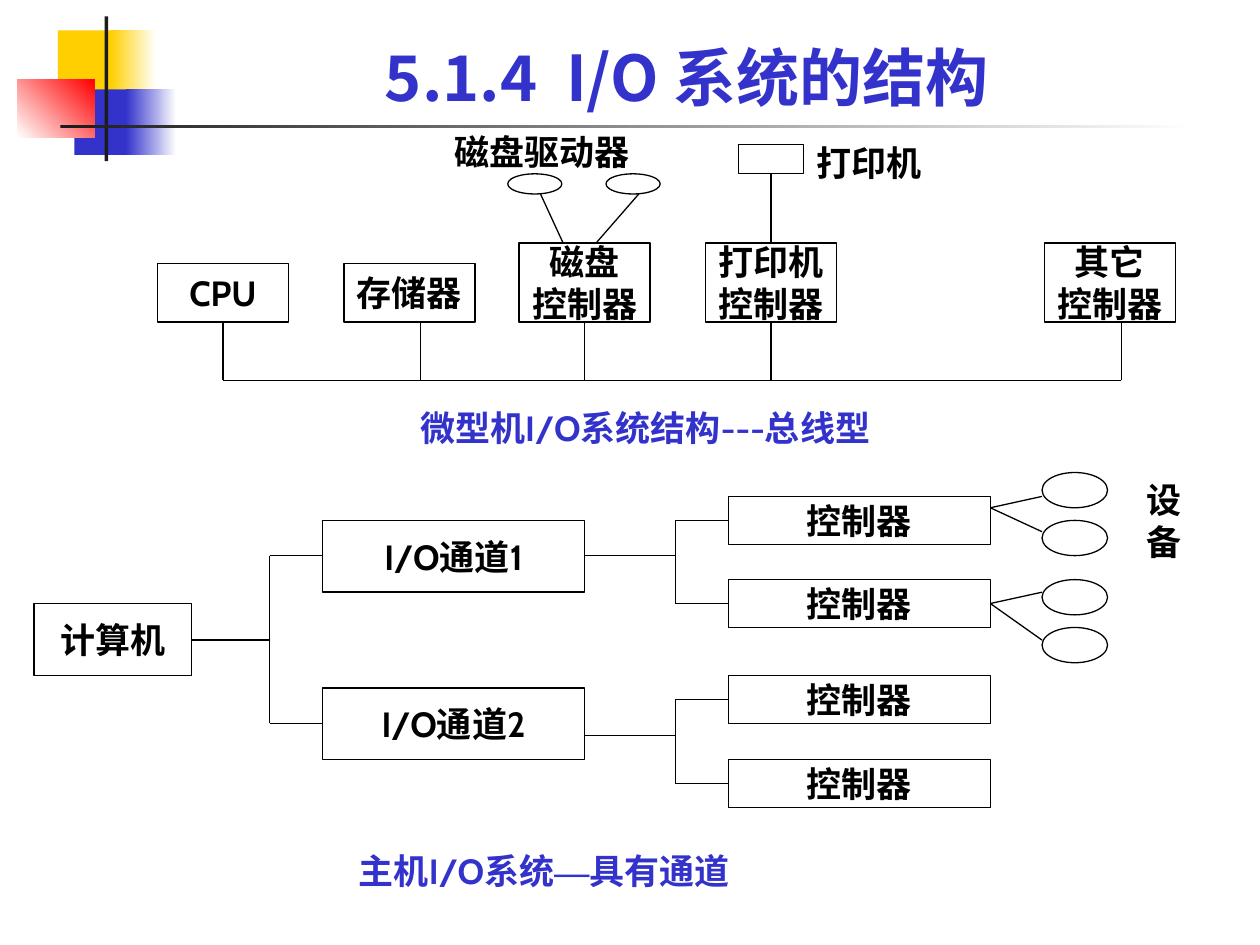
import pptx
import pptx.util
import pptx.dml.color
import pptx.enum.shapes
import pptx.enum.text
import pptx.oxml.ns
import lxml.etree

Inches = pptx.util.Inches
Kind = pptx.enum.shapes.MSO_SHAPE
Align = pptx.enum.text.PP_ALIGN
Anchor = pptx.enum.text.MSO_ANCHOR
qn = pptx.oxml.ns.qn

THEME = {
    "ink": "000000", "blue": "3333CC", "paper": "FFFFFF",
    "gold": "FFCF01", "red": "FF0000", "dark": "1C1C1C",
    "head": 36, "body": 20, "space": 12.5, "line": 0.75,
    "title": "Noto Sans CJK SC", "font": "Cabin", "dash": "Times New Roman",
}

# ---- Content ----
TITLE = "5.1.4  I/O 系统的结构"

# Corner art: place, colours (two make a gradient), angle
DECOR = [
    ((0.46, 0.24, 0.48, 0.52), ["gold"], 0),
    ((0.88, 0.24, 0.36, 0.52), ["gold", "paper"], 0),
    ((0.59, 0.71, 0.46, 0.52), ["blue"], 0),
    ((1.0, 0.71, 0.4, 0.52), ["blue", "paper"], 0),
    ((0.14, 0.63, 0.61, 0.46), ["paper", "red"], 45),
    ((0.83, 0.13, 0.03, 1.15), ["dark"], 0),
    ((0.48, 0.99, 9, 0.03), ["dark", "paper"], 0),
]

# Bus units: lines of text, left, top, x of the drop to the bus
UNITS = [
    (["CPU"], 1.25, 2.09, 1.77),
    (["存储器"], 2.73, 2.09, 3.34),
    (["磁盘", "控制器"], 4.12, 1.93, 4.64),
    (["打印机", "控制器"], 5.6, 1.93, 6.12),
    (["其它", "控制器"], 8.29, 1.93, 8.9),
]
BASE, BUS = 2.555, 3.02

# Disk drives: left, then the ends of the link to the controller
DRIVES = [(4.03, 4.29, 4.47), (4.81, 5.07, 4.73)]

# Channels: text, top, y of the link to the right, tops of controllers
CHANNELS = [
    ("I/O通道1", 4.13, 4.41, [3.94, 4.6]),
    ("I/O通道2", 5.46, 5.84, [5.36, 6.03]),
]
# Devices of the first channel: y of the fan's tip, (top, link end) pairs
DEVICES = [
    (4.03, [(3.75, 3.94), (4.13, 4.22)]),
    (4.79, [(4.6, 4.7), (4.98, 5.08)]),
]


# ---- Helpers ----
def color(name):
    return pptx.dml.color.RGBColor.from_string(THEME[name])


def set_face(font, props, name):
    """Use one typeface for both Latin and East Asian text."""
    font.name = name
    east = lxml.etree.Element(qn("a:ea"), typeface=name)
    props.find(qn("a:latin")).addnext(east)


def style(para, align, ink="ink", size="body", face="font"):
    para.alignment = align
    font = para.font
    font.size, font.bold = pptx.util.Pt(THEME[size]), True
    font.color.rgb = color(ink)
    set_face(font, para._p.pPr.find(qn("a:defRPr")), THEME[face])


def add_shape(home, place, kind=Kind.RECTANGLE, lines=()):
    shape = home.add_shape(kind, *map(Inches, place))
    shape.shadow.inherit = False
    shape.fill.solid()
    shape.fill.fore_color.rgb = color("paper")
    shape.line.color.rgb = color("ink")
    shape.line.width = pptx.util.Pt(THEME["line"])
    if lines:
        frame = shape.text_frame
        frame.word_wrap = False
        frame.vertical_anchor = Anchor.MIDDLE
        frame.text = "\n".join(lines)
        for para in frame.paragraphs:
            style(para, Align.CENTER)
    return shape


def add_line(home, x1, y1, x2, y2):
    line = home.add_connector(pptx.enum.shapes.MSO_CONNECTOR.STRAIGHT,
                              *map(Inches, (x1, y1, x2, y2)))
    line.line.color.rgb = color("ink")
    line.line.width = pptx.util.Pt(THEME["line"])
    lxml.etree.SubElement(line._element.spPr, qn("a:effectLst"))


def add_label(home, place, parts, align=Align.LEFT, ink="ink"):
    """Parts are (text, typeface key or None) pairs."""
    frame = home.add_textbox(*map(Inches, place)).text_frame
    frame.word_wrap = True
    frame.auto_size = pptx.enum.text.MSO_AUTO_SIZE.SHAPE_TO_FIT_TEXT
    para = frame.paragraphs[0]
    para.space_before = pptx.util.Pt(THEME["space"])
    style(para, align, ink)
    for text, face in parts:
        run = para.add_run()
        run.text = text
        if face:
            set_face(run.font, run._r.get_or_add_rPr(), THEME[face])


# ---- Slide parts ----
def draw_frame(home):
    for place, fills, angle in DECOR:
        shape = add_shape(home, place)
        shape.line.fill.background()
        if len(fills) == 1:
            shape.fill.fore_color.rgb = color(fills[0])
            continue
        shape.fill.gradient()
        shape.fill.gradient_angle = angle
        for stop, name in zip(shape.fill.gradient_stops, fills):
            stop.color.rgb = color(name)

    frame = home.add_textbox(*map(Inches, (1.58, 0.28, 7.74, 0.63))).text_frame
    frame.word_wrap = True
    frame.vertical_anchor = Anchor.BOTTOM
    frame.margin_left = frame.margin_right = 0
    frame.margin_top = frame.margin_bottom = 0
    frame.text = TITLE
    style(frame.paragraphs[0], Align.CENTER, "blue", "head", "title")


def draw_bus(home):
    # Disk drives and printer
    for left, start, end in DRIVES:
        add_shape(home, (left, 1.38, 0.43, 0.16), Kind.FLOWCHART_CONNECTOR)
        add_line(home, start, 1.54, end, 1.93)
    add_shape(home, (5.86, 1.15, 0.52, 0.23))
    add_line(home, 6.12, 1.38, 6.12, 1.93)

    # Units hung on the bus
    for lines, left, top, drop in UNITS:
        add_shape(home, (left, top, 1.04, BASE - top),
                  Kind.FLOWCHART_PROCESS, lines)
        add_line(home, drop, BASE, drop, BUS)
    add_line(home, UNITS[0][3], BUS, UNITS[-1][3], BUS)

    add_label(home, (3.51, 0.99, 2.09, 0.44), [("磁盘驱动器", None)])
    add_label(home, (6.38, 1.07, 1.91, 0.44), [("打印机", None)])
    add_label(home, (2.21, 3.18, 5.82, 0.44),
              [("微型机I/O系统结构---总线型", None)], Align.CENTER, "blue")


def draw_tree(home):
    # Computer and its trunk
    add_shape(home, (0.27, 4.79, 1.25, 0.57), lines=["计算机"])
    add_line(home, 1.52, 5.08, 2.14, 5.08)
    add_line(home, 2.14, 4.41, 2.14, 5.74)

    # Channels with their controllers
    for text, top, link, tops in CHANNELS:
        mid = top + 0.28
        add_shape(home, (2.56, top, 2.08, 0.57), lines=[text])
        add_line(home, 2.14, mid, 2.56, mid)
        add_line(home, 4.64, link, 5.36, link)
        mids = [y + 0.19 for y in tops]
        add_line(home, 5.36, mids[0], 5.36, mids[1])
        for y, mid in zip(tops, mids):
            add_shape(home, (5.78, y, 2.08, 0.38), lines=["控制器"])
            add_line(home, 5.36, mid, 5.78, mid)

    # Devices
    for tip, ends in DEVICES:
        for top, end in ends:
            add_shape(home, (8.27, top, 0.52, 0.28), Kind.OVAL)
            add_line(home, 7.86, tip, 8.27, end)

    add_label(home, (9, 3.75, 0.73, 0.77), [("设备", None)])
    add_label(home, (1.31, 6.69, 6.02, 0.44),
              [("主机I/O系统", None), ("—", "dash"), ("具有通道", None)],
              Align.CENTER, "blue")


def main():
    deck = pptx.Presentation()
    deck.slide_width, deck.slide_height = Inches(10), Inches(7.5)
    slide = deck.slides.add_slide(deck.slide_layouts[6])
    draw_frame(slide.shapes)
    for draw in (draw_bus, draw_tree):
        draw(slide.shapes.add_group_shape().shapes)
    deck.save("out.pptx")


if __name__ == "__main__":
    main()
